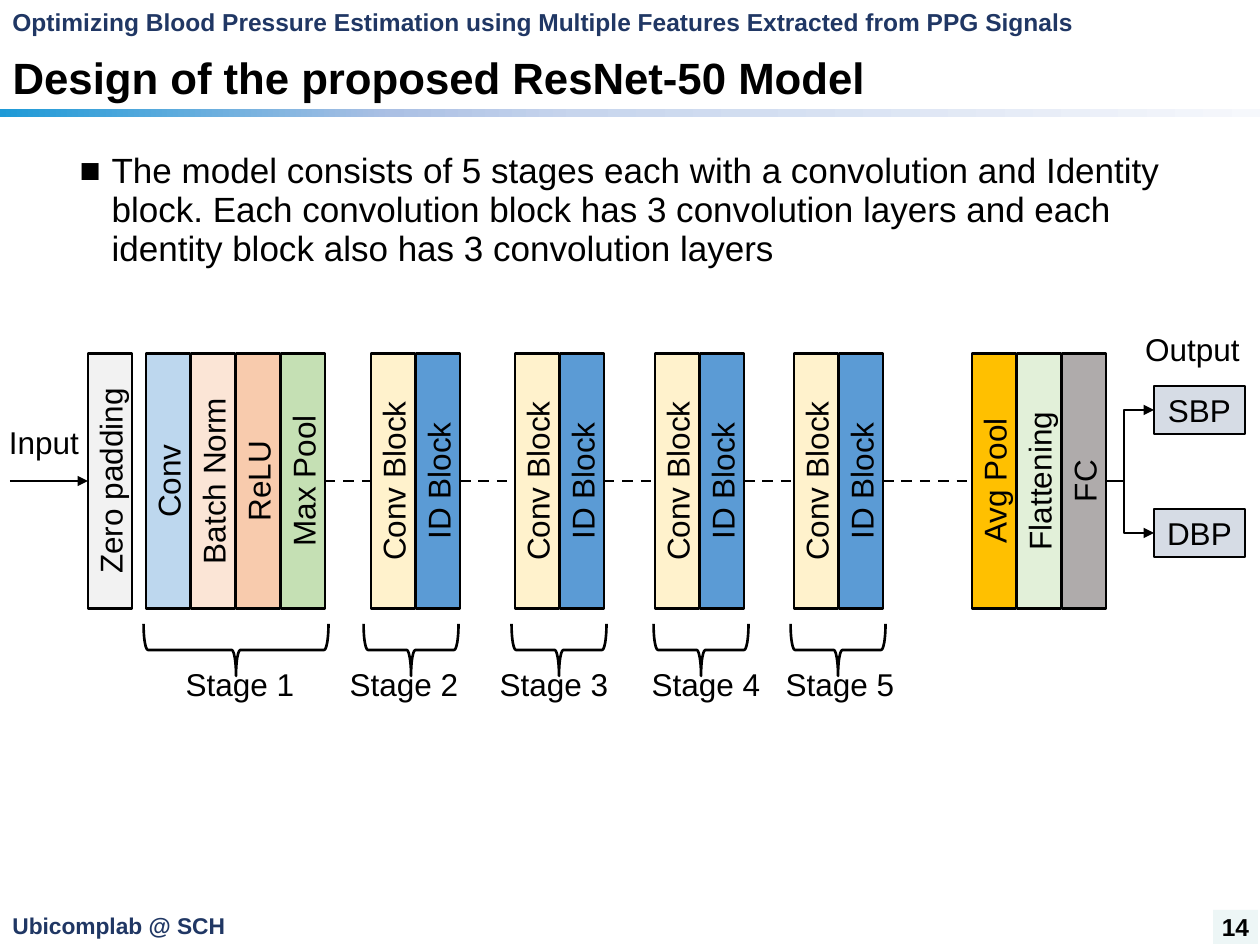
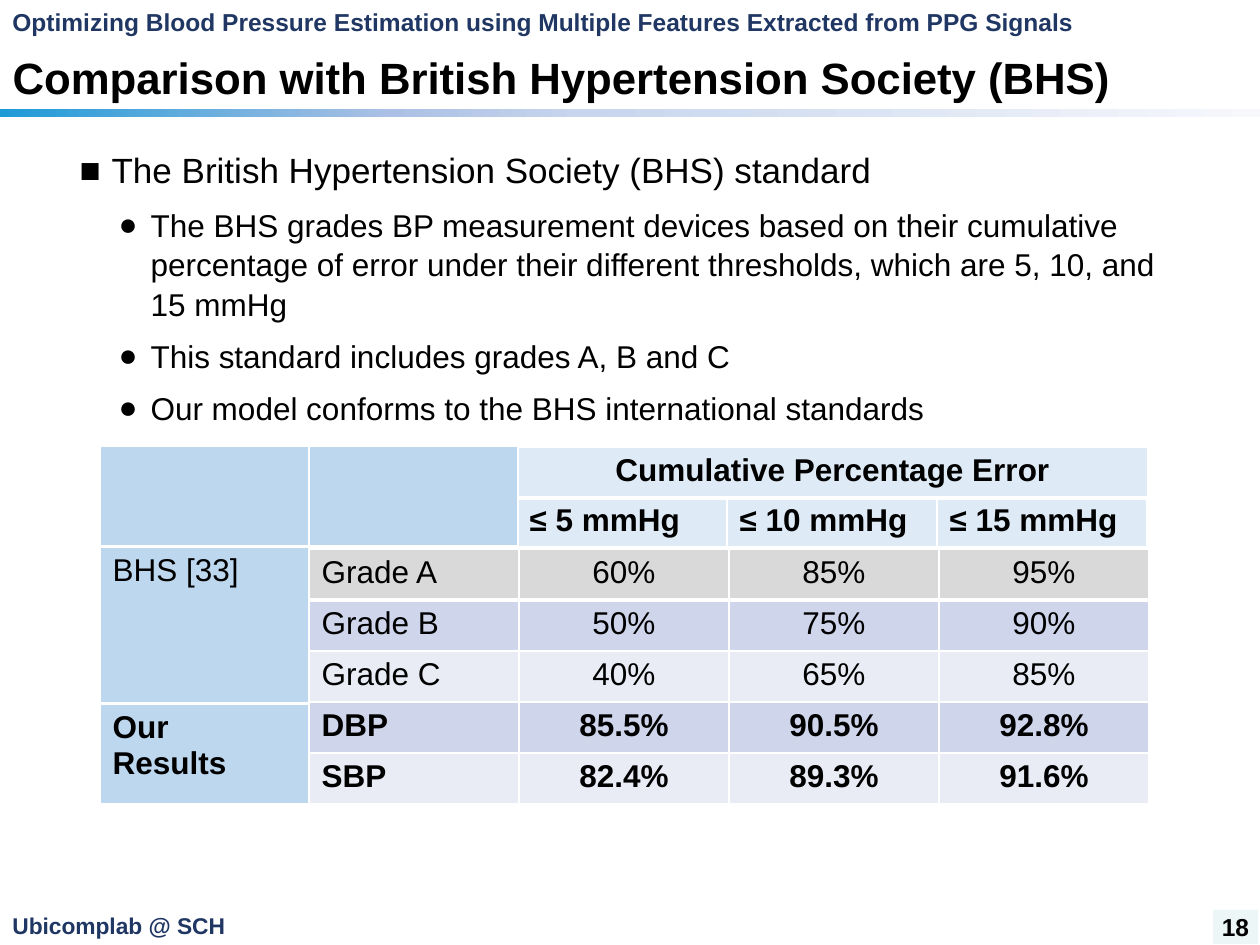
from lxml.etree import SubElement
from pptx import Presentation
from pptx.dml.color import RGBColor
from pptx.enum.dml import MSO_LINE
from pptx.enum.shapes import MSO_CONNECTOR, MSO_SHAPE
from pptx.enum.text import MSO_ANCHOR, MSO_AUTO_SIZE, PP_ALIGN
from pptx.oxml.ns import qn
from pptx.util import Emu, Pt

# Shared look
FONT = "Arial"
BLACK, WHITE, NAVY = "000000", "FFFFFF", "203764"
PALE_BLUE, ICE_BLUE, GREY, LILAC, PALE_LILAC = "BDD7EE", "DEEBF7", "D9D9D9", "CFD5EA", "E9EBF5"
BAND_STOPS = [(0, "1E9AD7"), (31, "ABC0E4"), (46, "C7D5ED"), (100, "F6F8FC")]
HEADER = "Optimizing Blood Pressure Estimation using Multiple Features Extracted from PPG Signals"
FOOTER = "Ubicomplab @ SCH"
# Per level: bullet, text size, left margin in px, space before, line spacing
LEVELS = [("■", 20, 32, 10, 0.93), ("●", 18, 71, 7, 1.05)]

# Slide content: title, page number, (level, text) list
MODEL_SLIDE = ("Design of the proposed ResNet-50 Model", 14, [
    (0, "The model consists of 5 stages each with a convolution and Identity block. "
        "Each convolution block has 3 convolution layers and each identity block also "
        "has 3 convolution layers"),
])
BHS_SLIDE = ("Comparison with British Hypertension Society (BHS)", 18, [
    (0, "The British Hypertension Society (BHS) standard"),
    (1, "The BHS grades BP measurement devices based on their cumulative percentage of "
        "error under their different thresholds, which are 5, 10, and 15 mmHg"),
    (1, "This standard includes grades A, B and C"),
    (1, "Our model conforms to the BHS international standards"),
])

# Network: left edge and layers of each group
STAGE_LAYERS = [("Conv Block", "FFF2CC"), ("ID Block", "5B9BD5")]
PADDING = (88, [("Zero padding", "F2F2F2")])
STAGES = [
    (146, [("Conv", PALE_BLUE), ("Batch Norm", "FBE5D6"),
           ("ReLU", "F8CBAD"), ("Max Pool", "C5E0B4")]),
    (371, STAGE_LAYERS), (515, STAGE_LAYERS), (655, STAGE_LAYERS), (794, STAGE_LAYERS),
]
HEAD = (972, [("Avg Pool", "FFC000"), ("Flattening", "E2F0D9"), ("FC", "AFABAB")])
STAGE_MARKS = [(236, 240), (411, 404), (559, 554), (701, 706), (838, 840)]  # brace, label centres
OUTPUTS = [("SBP", 386), ("DBP", 509)]
AXIS_Y, LAYER_WIDTH, LAYER_HEIGHT, LAYER_PITCH = 481, 44, 255, 45

# Result grid: left, top, column width, row height, bold rows, row fills, rows
GRID_PARTS = [
    (309, 549, 210, 51, (3, 4), [GREY, LILAC, PALE_LILAC, LILAC, PALE_LILAC], [
        ["Grade A", "60%", "85%", "95%"],
        ["Grade B", "50%", "75%", "90%"],
        ["Grade C", "40%", "65%", "85%"],
        ["DBP", "85.5%", "90.5%", "92.8%"],
        ["SBP", "82.4%", "89.3%", "91.6%"]]),
    (517, 497, 210, 51, (0,), [ICE_BLUE], [["≤ 5 mmHg", "≤ 10 mmHg", "≤ 15 mmHg"]]),
    (517, 447, 631, 51, (0,), [ICE_BLUE], [["Cumulative Percentage Error"]]),
    (309, 446, 209, 101, (), [PALE_BLUE], [[""]]),
    (100, 446, 209, 101, (), [PALE_BLUE], [[""]]),
    (100, 547, 209, 157, (), [PALE_BLUE], [["BHS [33]"]]),
    (100, 704, 209, 101, (0,), [PALE_BLUE], [["Our\nResults"]]),
]


def px(length):
    return Emu(round(length * 914400 / 126))


def box(left, top, width, height):
    return [px(length) for length in (left, top, width, height)]


def colour(hex_string):
    return RGBColor.from_string(hex_string)


def format_text(frame, size, align=PP_ALIGN.LEFT, bold=False, hex_string=BLACK):
    for paragraph in frame.paragraphs:
        paragraph.alignment = align
        for run in paragraph.runs:
            run.font.name, run.font.size, run.font.bold = FONT, Pt(size), bold
            run.font.color.rgb = colour(hex_string)


def add_text(slide, text, place, size, inset=None, **style):
    label = slide.shapes.add_textbox(*box(*place))
    frame = label.text_frame
    frame.text, frame.word_wrap, frame.vertical_anchor = text, True, MSO_ANCHOR.MIDDLE
    if inset is not None:
        frame.margin_left = frame.margin_right = px(inset)
    format_text(frame, size, **style)
    return label


def add_shape(slide, kind, place, fill=None, outlined=True, text="", size=18, bold=False):
    shape = slide.shapes.add_shape(kind, *box(*place))
    shape.shadow.inherit = False
    if fill:
        shape.fill.solid()
        shape.fill.fore_color.rgb = colour(fill)
    else:
        shape.fill.background()
    if outlined:
        shape.line.color.rgb, shape.line.width = colour(BLACK), Pt(1.5)
    else:
        shape.line.fill.background()
    if text:
        shape.text_frame.text = text
        shape.text_frame.vertical_anchor = MSO_ANCHOR.MIDDLE
        format_text(shape.text_frame, size, PP_ALIGN.CENTER, bold)
    return shape


def add_line(slide, start, end, kind=MSO_CONNECTOR.STRAIGHT, dashed=False, arrow=False):
    line = slide.shapes.add_connector(kind, *box(*start, *end))
    line.line.color.rgb, line.line.width = colour(BLACK), Pt(1.5)
    if dashed:
        line.line.dash_style = MSO_LINE.DASH
    if arrow:
        SubElement(line.line._get_or_add_ln(), qn("a:tailEnd"), type="triangle")
    SubElement(line._element.spPr, qn("a:effectLst"))
    return line


# Shared layout: header, footer, gradient band and placeholder places
def build_layout(layout, slide):
    for placeholder, place in zip(layout.placeholders,
                                  [(0, 44, 1260, 73), (67, 146, 1125, 733)]):
        placeholder.left, placeholder.top, placeholder.width, placeholder.height = box(*place)
    band = add_shape(slide, MSO_SHAPE.RECTANGLE, (0, 109, 1260, 8), outlined=False)
    band.fill.gradient()
    band.fill.gradient_angle = 0
    stops = band._element.spPr.find(".//" + qn("a:gsLst"))
    stops.clear()
    for percent, hex_string in BAND_STOPS:
        stop = SubElement(stops, qn("a:gs"), pos=str(percent * 1000))
        SubElement(stop, qn("a:srgbClr"), val=hex_string)
    header = add_text(slide, HEADER, (0, 0, 1092, 43), 14, bold=True, hex_string=NAVY)
    footer = add_text(slide, FOOTER, (0, 905, 260, 40), 13, bold=True, hex_string=NAVY)
    for number, part in enumerate((band, header, footer), 20):
        part._element.nvSpPr.cNvPr.set("id", str(number))
        layout.shapes._spTree.append(part._element)


def fill_slide(slide, title, page, points):
    heading = slide.shapes.title.text_frame
    heading.text, heading.vertical_anchor = title, MSO_ANCHOR.MIDDLE
    heading.auto_size = MSO_AUTO_SIZE.NONE
    format_text(heading, 25, bold=True)
    heading.paragraphs[0].line_spacing = 0.9

    body = slide.placeholders[1].text_frame
    body.text = "\n".join(text for _, text in points)
    body.auto_size = MSO_AUTO_SIZE.NONE
    format_text(body, 18)
    for paragraph, (level, _) in zip(body.paragraphs, points):
        bullet, size, margin, before, spacing = LEVELS[level]
        paragraph.level = level
        paragraph.space_before, paragraph.line_spacing = Pt(before), spacing
        paragraph.runs[0].font.size = Pt(size)
        properties = paragraph._p.get_or_add_pPr()
        properties.set("marL", str(px(margin)))
        properties.set("indent", str(-px(32)))
        SubElement(properties, qn("a:buChar"), char=bullet)

    badge = add_shape(slide, MSO_SHAPE.RECTANGLE, (1213, 910, 45, 34), "EDF6F6",
                      outlined=False, text=str(page), size=14, bold=True)
    badge.text_frame.margin_left = badge.text_frame.margin_right = 0


# Network diagram
def add_upright(slide, kind, centre_x, centre_y, width, height, rotation, **look):
    """Place a turned shape by the width and height it shows."""
    place = (centre_x - height / 2, centre_y - width / 2, height, width)
    shape = add_shape(slide, kind, place, **look)
    shape.rotation = rotation
    return shape


def add_layers(slide, left, layers):
    centres = [left + LAYER_WIDTH / 2 + LAYER_PITCH * i for i in range(len(layers))]
    blocks = [add_upright(slide, MSO_SHAPE.RECTANGLE, centre, AXIS_Y, LAYER_WIDTH,
                          LAYER_HEIGHT, 270, fill=fill, text=name)
              for centre, (name, fill) in zip(centres, layers)]
    return blocks[0], blocks[-1], left, centres[-1] + LAYER_WIDTH / 2


def draw_network(slide):
    padding, _, padding_left, _ = add_layers(slide, *PADDING)
    chain = [add_layers(slide, *group) for group in STAGES + [HEAD]]

    # The turned blocks show site 0 on the left and site 2 on the right
    arrow = add_line(slide, (10, AXIS_Y), (padding_left, AXIS_Y), arrow=True)
    arrow.end_connect(padding, 0)
    arrow.end_x, arrow.end_y = px(padding_left), px(AXIS_Y)
    for (_, last, _, right), (first, _, left, _) in zip(chain, chain[1:]):
        link = add_line(slide, (right, AXIS_Y), (left, AXIS_Y), dashed=True)
        link.begin_connect(last, 2)
        link.end_connect(first, 0)
        link.begin_x, link.begin_y = px(right), px(AXIS_Y)
        link.end_x, link.end_y = px(left), px(AXIS_Y)

    # Stage braces and labels
    for number, ((_, layers), (brace_x, label_x)) in enumerate(zip(STAGES, STAGE_MARKS), 1):
        add_upright(slide, MSO_SHAPE.RIGHT_BRACE, brace_x, 650,
                    len(layers) * LAYER_PITCH + 5, 52, 90)
        add_text(slide, f"Stage {number}", (label_x - 67, 667, 134, 34), 18,
                 inset=0, align=PP_ALIGN.CENTER)

    # Input and outputs
    add_text(slide, "Input", (-5, 418, 98, 48), 18, align=PP_ALIGN.CENTER)
    add_text(slide, "Output", (1129, 325, 127, 48), 18, align=PP_ALIGN.CENTER)
    head_right = chain[-1][3]
    for name, top in OUTPUTS:
        add_shape(slide, MSO_SHAPE.RECTANGLE, (1154, top, 91, 48), "D6DCE5", text=name)
        branch = add_line(slide, (head_right, AXIS_Y), (1154, top + 24),
                          MSO_CONNECTOR.ELBOW, arrow=True)
        guides = branch._element.spPr.find(".//" + qn("a:avLst"))
        SubElement(guides, qn("a:gd"), name="adj1", fmla="val 37700")


# Result grid
def add_grid(slide, left, top, column_width, row_height, bold_rows, fills, rows):
    place = (left, top, column_width * len(rows[0]), row_height * len(rows))
    table = slide.shapes.add_table(len(rows), len(rows[0]), *box(*place)).table
    table.first_row = table.horz_banding = False
    for row_number, (row, fill) in enumerate(zip(rows, fills)):
        table.rows[row_number].height = px(row_height)
        for column_number, text in enumerate(row):
            table.columns[column_number].width = px(column_width)
            cell = table.cell(row_number, column_number)
            cell.text = text
            for side in "LRTB":
                weight = 3 if side == "B" and row_number == 0 else 1
                edge = SubElement(cell._tc.get_or_add_tcPr(), qn(f"a:ln{side}"),
                                  w=str(Pt(weight)))
                SubElement(SubElement(edge, qn("a:solidFill")), qn("a:srgbClr"), val=WHITE)
            cell.fill.solid()
            cell.fill.fore_color.rgb = colour(fill)
            centred = "%" in text or text.startswith("Cumulative")
            format_text(cell.text_frame, 18, PP_ALIGN.CENTER if centred else PP_ALIGN.LEFT,
                        row_number in bold_rows)


def main():
    deck = Presentation()
    deck.slide_width, deck.slide_height = px(1260), px(945)
    layout = deck.slide_layouts[1]
    model, comparison = (deck.slides.add_slide(layout) for _ in range(2))
    build_layout(layout, model)

    fill_slide(model, *MODEL_SLIDE)
    draw_network(model)

    fill_slide(comparison, *BHS_SLIDE)
    for part in GRID_PARTS:
        add_grid(comparison, *part)
    deck.save("out.pptx")


if __name__ == "__main__":
    main()
